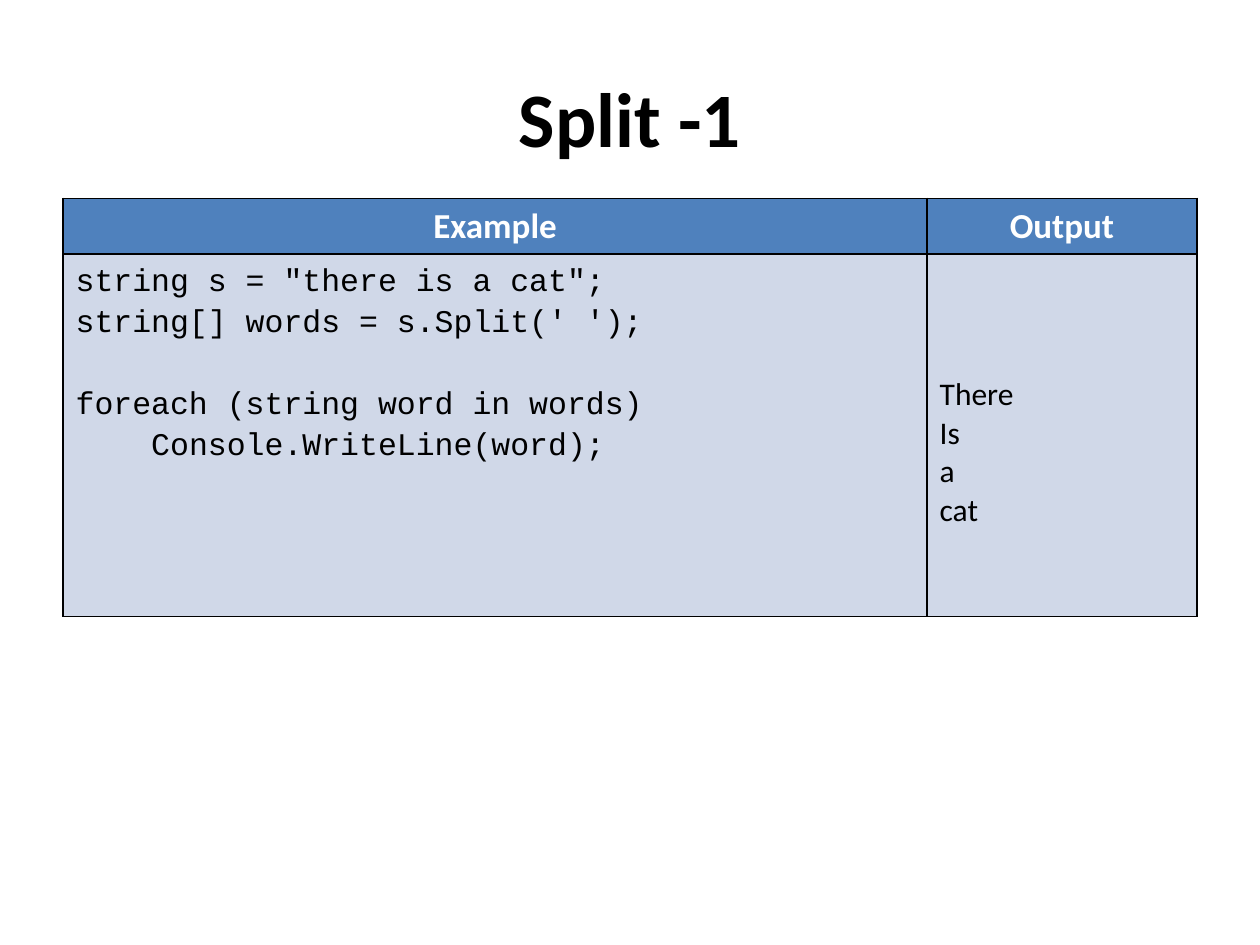
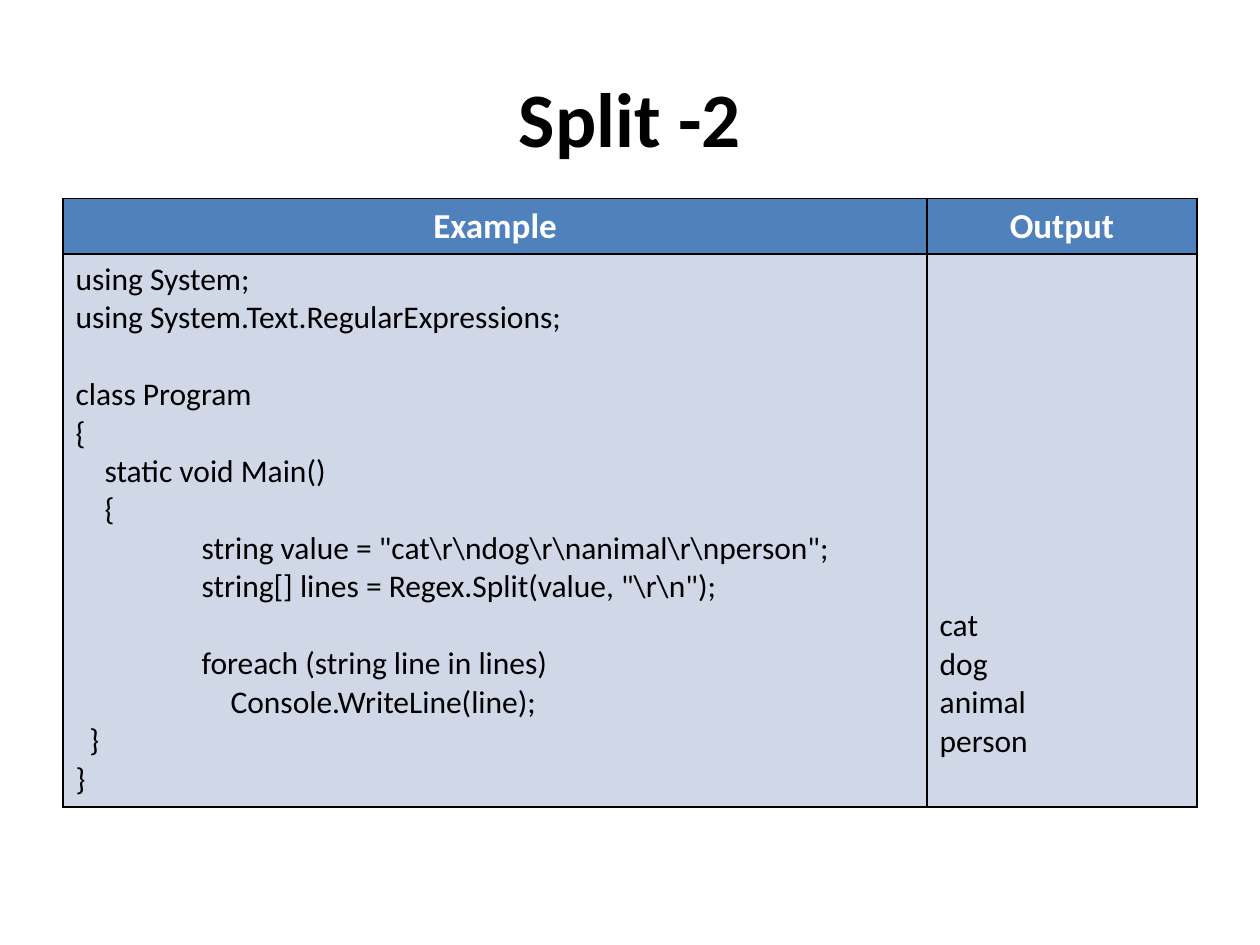
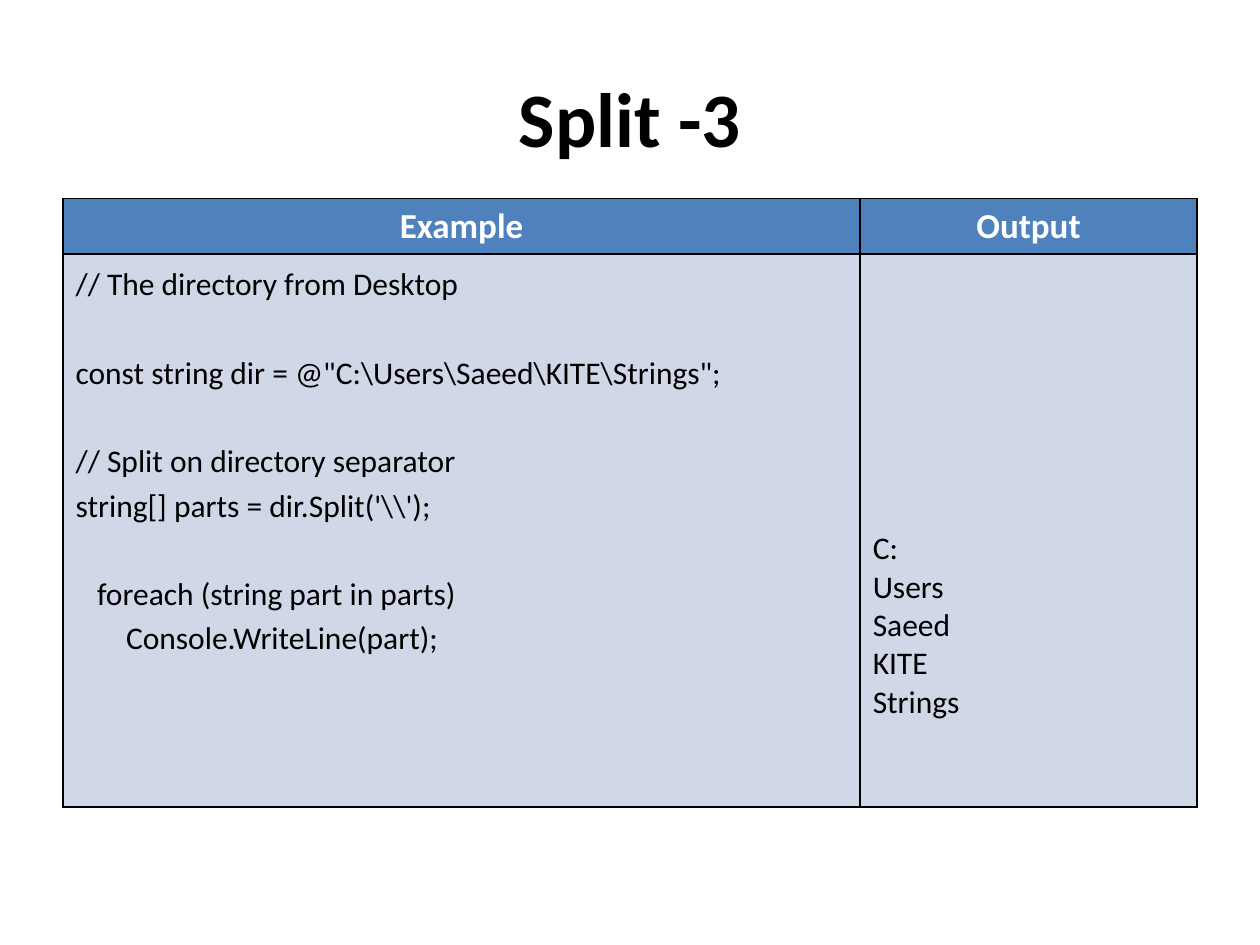
from lxml.etree import SubElement
from pptx import Presentation
from pptx.dml.color import RGBColor as Rgb
from pptx.enum.text import MSO_ANCHOR as Anchor, PP_ALIGN as Align
from pptx.oxml.ns import qn
from pptx.util import Inches, Pt

# Shared look
WIDTH, HEIGHT = 10, 7.5
MARGIN = 0.05 * WIDTH
CONTENT_WIDTH = WIDTH - 2 * MARGIN
TITLE_TOP, TITLE_HEIGHT = 0.04 * HEIGHT, HEIGHT / 6
TABLE_TOP = 0.21 * HEIGHT
HEADER_HEIGHT = 0.44
CELL_TOP = 0.05
LINE = 22  # points from one 18-point line to the next
COLORS = {"text": "000000", "header": "4F81BD", "header_text": "FFFFFF",
          "body": "D0D8E8", "border": "000000"}
TITLE = {"name": "Calibri", "size": Pt(44), "bold": True}
HEADER = {"name": "Calibri", "size": Pt(20), "bold": True}
PLAIN = {"name": "Calibri", "size": Pt(18), "bold": False}
MONO = {**PLAIN, "name": "Courier New"}

# Slide content: code lines are (indent in inches, text), "" leaves a gap
SLIDES = [
    {
        "title": "Split -1", "code_share": 0.762, "body_height": 2.88,
        "font": MONO, "spacing": 1.15, "gap": 23.5,
        "code": [
            (0, 'string s = "there is a cat";'),
            (0, "string[] words = s.Split(' ');"),
            (0, ""),
            (0, "foreach (string word in words)"),
            (0.6, "Console.WriteLine(word);"),
        ],
        "output_row": 3, "output": ["There", "Is", "a", "cat"],
    },
    {
        "title": "Split -2", "code_share": 0.762, "body_height": 4.39,
        "font": PLAIN, "spacing": 1.0, "gap": LINE,
        "code": [
            (0, "using System;"),
            (0, "using System.Text.RegularExpressions;"),
            (0, ""),
            (0, "class Program"),
            (0, "{"),
            (0.23, "static void Main()"),
            (0.23, "{"),
            (1, r'string value = "cat\r\ndog\r\nanimal\r\nperson";'),
            (1, r'string[] lines = Regex.Split(value, "\r\n");'),
            (0, ""),
            (1, "foreach (string line in lines)"),
            (1.23, "Console.WriteLine(line);"),
            (0.11, "}"),
            (0, "}"),
        ],
        "output_row": 9, "output": ["cat", "dog", "animal", "person"],
    },
    {
        "title": "Split -3", "code_share": 0.703, "body_height": 4.39,
        "font": PLAIN, "spacing": 1.15, "gap": 1.15 * LINE,
        "code": [
            (0, "// The directory from Desktop"),
            (0, ""),
            (0, r'const string dir = @"C:\Users\Saeed\KITE\Strings";'),
            (0, ""),
            (0, "// Split on directory separator"),
            (0, r"string[] parts = dir.Split('\\');"),
            (0, ""),
            (0.17, "foreach (string part in parts)"),
            (0.4, "Console.WriteLine(part);"),
        ],
        "output_row": 7,
        "output": ["C:", "Users", "Saeed", "KITE", "Strings"],
    },
]


def set_all(target, values):
    for name, value in values.items():
        setattr(target, name, value)


def write(para, text, font, color="text", **layout):
    """Put one formatted span into a paragraph."""
    set_all(para, layout)
    span = para.add_run()
    span.text = text
    set_all(span.font, font)
    span.font.color.rgb = Rgb.from_string(COLORS[color])


def write_lines(frame, lines, font, spacing, gap):
    """Write indented lines; an empty text becomes space before the next."""
    space, para = 0, None
    for indent, text in lines:
        if not text:
            space += gap
            continue
        para = frame.paragraphs[0] if para is None else frame.add_paragraph()
        write(para, text, font, line_spacing=spacing, space_before=Pt(space))
        if indent:
            props = para._p.get_or_add_pPr()
            props.set("marL", str(Inches(indent)))
            props.set("indent", "0")
        space = 0


def style_cell(cell, fill):
    """Draw the four borders, then the fill."""
    props = cell._tc.get_or_add_tcPr()
    for side in ("lnL", "lnR", "lnT", "lnB"):
        line = SubElement(props, qn(f"a:{side}"), w=str(Pt(1)))
        paint = SubElement(line, qn("a:solidFill"))
        SubElement(paint, qn("a:srgbClr"), val=COLORS["border"])
    cell.fill.solid()
    cell.fill.fore_color.rgb = Rgb.from_string(COLORS[fill])


def add_title(page, text):
    box = page.shapes.add_textbox(
        *map(Inches, (MARGIN, TITLE_TOP, CONTENT_WIDTH, TITLE_HEIGHT)))
    frame = box.text_frame
    set_all(frame, {"word_wrap": True, "vertical_anchor": Anchor.MIDDLE})
    write(frame.paragraphs[0], text, TITLE, alignment=Align.CENTER)


def add_example_table(page, content):
    heights = (HEADER_HEIGHT, content["body_height"])
    shares = (content["code_share"], 1 - content["code_share"])
    table = page.shapes.add_table(
        2, 2, *map(Inches, (MARGIN, TABLE_TOP, CONTENT_WIDTH, sum(heights)))
    ).table
    set_all(table, {"first_row": False, "horz_banding": False})
    for row, height in zip(table.rows, heights):
        row.height = Inches(height)
    for column, share in zip(table.columns, shares):
        column.width = Inches(share * CONTENT_WIDTH)

    # Header row
    for cell, label in zip(table.rows[0].cells, ("Example", "Output")):
        style_cell(cell, "header")
        write(cell.text_frame.paragraphs[0], label, HEADER, "header_text",
              alignment=Align.CENTER)

    # Code beside its output, which starts some lines further down
    code, output = table.rows[1].cells
    for cell in (code, output):
        style_cell(cell, "body")
    write_lines(code.text_frame, content["code"], content["font"],
                content["spacing"], content["gap"])
    output.margin_top = Inches(CELL_TOP) + Pt(content["output_row"] * LINE)
    write_lines(output.text_frame, [(0, text) for text in content["output"]],
                PLAIN, 1.0, LINE)


def main():
    deck = Presentation()
    set_all(deck, {"slide_width": Inches(WIDTH),
                   "slide_height": Inches(HEIGHT)})
    for content in SLIDES:
        page = deck.slides.add_slide(deck.slide_layouts[6])
        add_title(page, content["title"])
        add_example_table(page, content)
    deck.save("out.pptx")


main()
